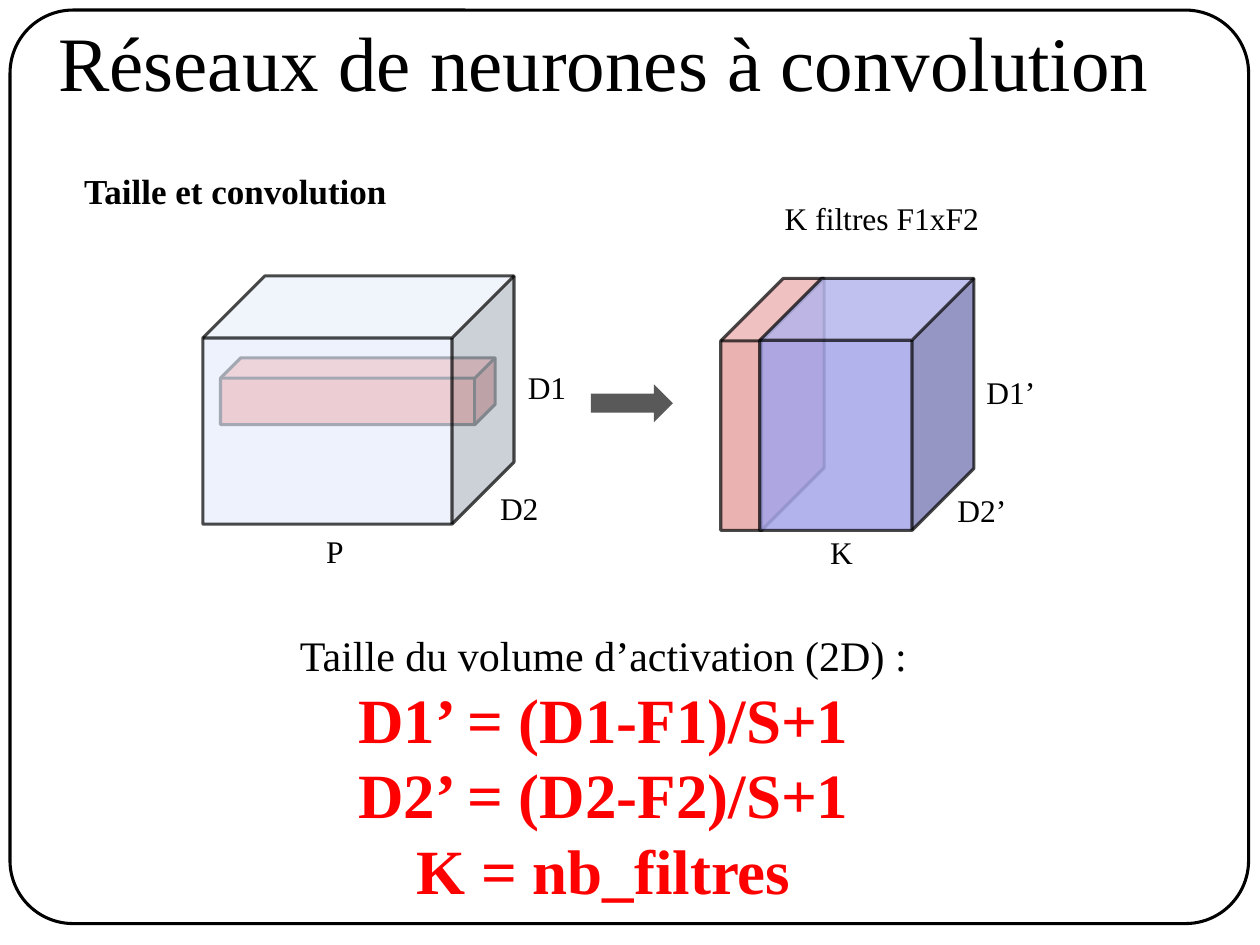
"""Build the slide on volume sizes in convolutional networks."""
from dataclasses import dataclass
from typing import NamedTuple, Optional

import pptx
import pptx.dml.color
import pptx.enum.shapes
import pptx.enum.text
import pptx.oxml.ns
import pptx.util

PX = 9144
SHAPE = pptx.enum.shapes.MSO_SHAPE
ALIGN = pptx.enum.text.PP_ALIGN
ANCHOR = pptx.enum.text.MSO_ANCHOR


@dataclass(frozen=True)
class Theme:
    font: str = "Times New Roman"
    ink: str = "000000"
    accent: str = "FF0000"
    arrow: str = "595959"
    filter_volume: str = "C00000"
    receptive_field: str = "FF7E75"
    output_volume: str = "A5A5E9"
    input_volume: str = "E6EEFB"
    title: int = 44
    formula: int = 36
    intro: int = 24
    heading: int = 20
    label: int = 18
    outline: float = 1.75


THEME = Theme()


class Box(NamedTuple):
    left: int
    top: int
    width: int
    height: int


class Cube(NamedTuple):
    box: Box
    depth: float
    color: str
    fill_alpha: int = 100
    line_alpha: int = 100


class Label(NamedTuple):
    text: str
    box: Box


FILTER_CUBE = Cube(Box(572, 221, 82, 200), 0.605, THEME.filter_volume, 30, 71)
FIELD_CUBE = Cube(Box(175, 284, 218, 53), 0.304, THEME.receptive_field)
OUTPUT_CUBE = Cube(Box(603, 221, 170, 200), 0.289, THEME.output_volume, 85, 71)
INPUT_CUBE = Cube(Box(161, 219, 247, 197), 0.25, THEME.input_volume, 71, 71)

LABELS = [
    Label("D2", Box(387, 383, 58, 40)),
    Label("D1", Box(409, 287, 58, 40)),
    Label("P", Box(249, 417, 58, 40)),
    Label("K filtres F1xF2", Box(613, 153, 196, 40)),
    Label("D2’", Box(750, 385, 73, 40)),
    Label("D1’", Box(773, 291, 73, 40)),
    Label("K", Box(649, 418, 58, 40)),
]
FORMULAS = ["D1’ = (D1-F1)/S+1", "D2’ = (D2-F2)/S+1", "K = nb_filtres"]


def emu(box: Box) -> list:
    return [pptx.util.Emu(v * PX) for v in box]


def rgb(color: str) -> pptx.dml.color.RGBColor:
    return pptx.dml.color.RGBColor.from_string(color)


def paint(fill, color: str, alpha: int = 100) -> None:
    fill.solid()
    fill.fore_color.rgb = rgb(color)
    if alpha < 100:
        clr = fill._xPr.find(".//" + pptx.oxml.ns.qn("a:srgbClr"))
        clr.append(pptx.oxml.parse_xml(
            f'<a:alpha {pptx.oxml.ns.nsdecls("a")} val="{alpha * 1000}"/>'))


def add_shape(s, kind, box: Box, fill: Optional[str] = None, line: Optional[str] = None,
              adj: Optional[float] = None, fill_alpha: int = 100, line_alpha: int = 100):
    sp = s.shapes.add_shape(kind, *emu(box))
    sp.shadow.inherit = False
    if adj is not None:
        sp.adjustments[0] = adj
    if fill:
        paint(sp.fill, fill, fill_alpha)
    else:
        sp.fill.background()
    if line:
        sp.line.width = pptx.util.Pt(THEME.outline)
        paint(sp.line.fill, line, line_alpha)
    else:
        sp.line.fill.background()
    return sp


def add_cube(s, cube: Cube) -> None:
    add_shape(s, SHAPE.CUBE, cube.box, cube.color, THEME.ink, cube.depth,
              cube.fill_alpha, cube.line_alpha)


def write(p, text: str, *, size: int, color: str = THEME.ink, bold: bool = False,
          align=ALIGN.LEFT) -> None:
    p.alignment = align
    r = p.add_run()
    r.text = text
    r.font.name = THEME.font
    r.font.size = pptx.util.Pt(size)
    r.font.bold = bold
    r.font.color.rgb = rgb(color)


def add_text_frame(s, box: Box, wrap: bool = True):
    tf = s.shapes.add_textbox(*emu(box)).text_frame
    tf.word_wrap = wrap
    tf.auto_size = pptx.enum.text.MSO_AUTO_SIZE.SHAPE_TO_FIT_TEXT
    return tf


def add_title(s, text: str, box: Box) -> None:
    sp = s.shapes.title
    sp.left, sp.top, sp.width, sp.height = emu(box)
    tf = sp.text_frame
    tf.vertical_anchor = ANCHOR.MIDDLE
    write(tf.paragraphs[0], text, size=THEME.title, align=ALIGN.CENTER)


def add_formulas(s, box: Box) -> None:
    tf = add_text_frame(s, box, wrap=False)
    write(tf.paragraphs[0], "Taille du volume d’activation (2D) :",
          size=THEME.intro, align=ALIGN.CENTER)
    for formula in FORMULAS:
        write(tf.add_paragraph(), formula, size=THEME.formula, color=THEME.accent,
              bold=True, align=ALIGN.CENTER)


def main() -> None:
    prs = pptx.Presentation()
    prs.slide_width, prs.slide_height = 1000 * PX, 750 * PX
    s = prs.slides.add_slide(prs.slide_layouts[5])

    add_shape(s, SHAPE.ROUNDED_RECTANGLE, Box(8, 8, 983, 725), line=THEME.ink, adj=0.069)
    add_title(s, "Réseaux de neurones à convolution", Box(34, -14, 891, 125))
    heading = add_text_frame(s, Box(57, 130, 262, 44), wrap=False)
    write(heading.paragraphs[0], "Taille et convolution", size=THEME.heading, bold=True)

    for cube in (FILTER_CUBE, FIELD_CUBE, OUTPUT_CUBE, INPUT_CUBE):
        add_cube(s, cube)
    add_shape(s, SHAPE.RIGHT_ARROW, Box(469, 305, 65, 30), THEME.arrow)
    for label in LABELS:
        write(add_text_frame(s, label.box).paragraphs[0], label.text, size=THEME.label)
    add_formulas(s, Box(226, 495, 506, 232))

    prs.save("out.pptx")


if __name__ == "__main__":
    main()
